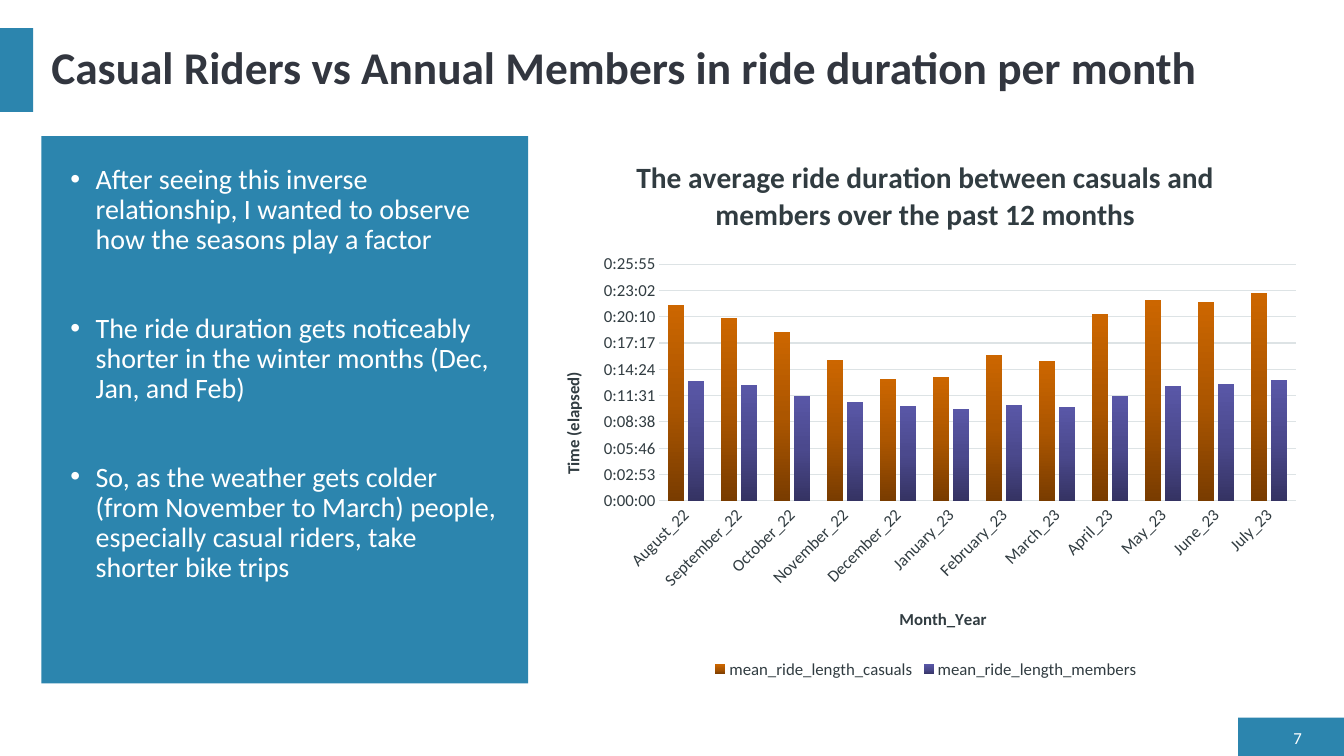
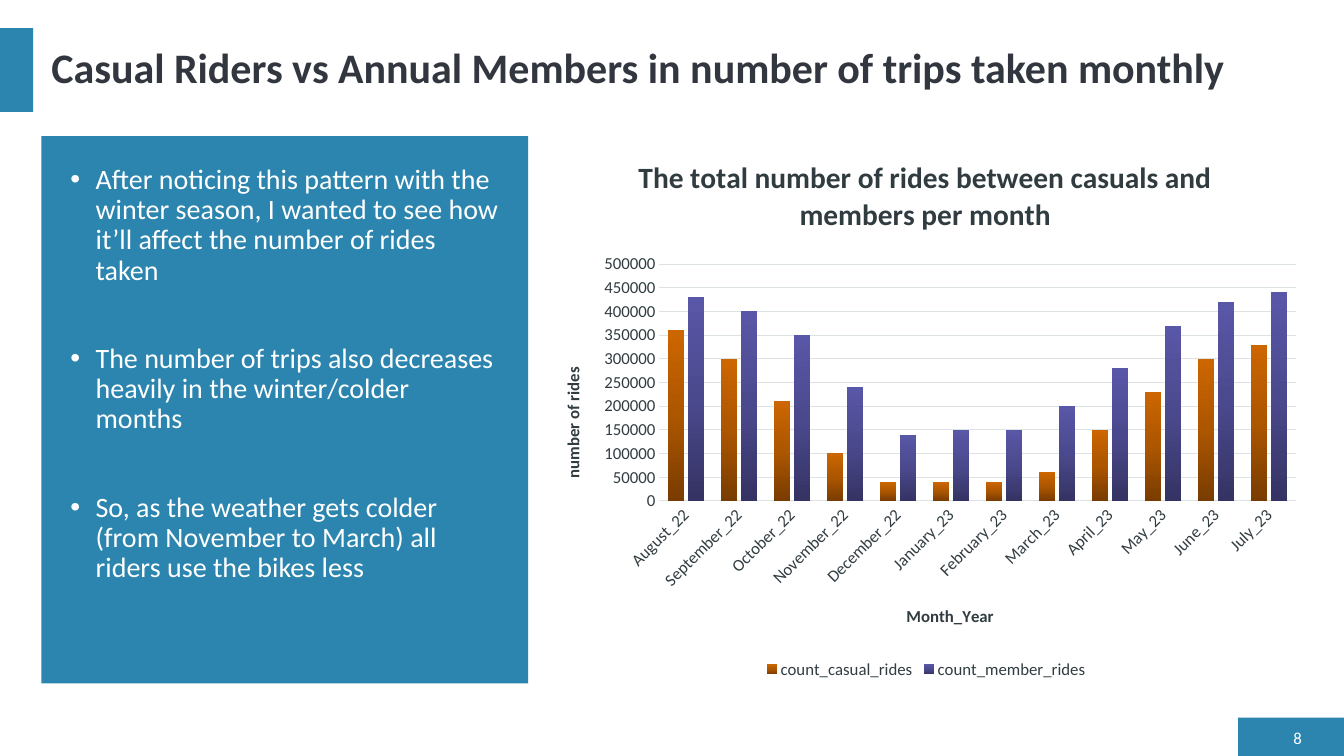
from lxml import etree
from pptx import Presentation
from pptx.chart.data import CategoryChartData
from pptx.dml.color import RGBColor
from pptx.enum.chart import XL_CHART_TYPE, XL_LEGEND_POSITION, XL_TICK_MARK
from pptx.enum.shapes import MSO_SHAPE
from pptx.enum.text import MSO_ANCHOR, PP_ALIGN
from pptx.oxml import parse_xml
from pptx.oxml.ns import nsdecls, qn
from pptx.util import Inches, Pt

COLUMNS = XL_CHART_TYPE.COLUMN_CLUSTERED
BOTTOM = XL_LEGEND_POSITION.BOTTOM
NO_TICKS = XL_TICK_MARK.NONE
RECTANGLE = MSO_SHAPE.RECTANGLE
MIDDLE, TOP = MSO_ANCHOR.MIDDLE, MSO_ANCHOR.TOP
LEFT, RIGHT = PP_ALIGN.LEFT, PP_ALIGN.RIGHT

FONT = "Calibri"
ACCENT, INK, CHART_INK, GRID, WHITE = "2C85AE", "32363F", "313C41", "DDE3E5", "FFFFFF"
GRADIENTS = [("793C00", "AC5600", "CC6600"), ("353363", "4B498D", "5957A7")]

MONTHS = ["August_22", "September_22", "October_22", "November_22", "December_22", "January_23",
          "February_23", "March_23", "April_23", "May_23", "June_23", "July_23"]

PAGES = [
    {
        "number": 7,
        "title": "Casual Riders vs Annual Members in ride duration per month",
        "title_size": 32.4,
        "points": [
            "After seeing this inverse relationship, I wanted to observe how the seasons play a factor",
            "The ride duration gets noticeably shorter in the winter months (Dec, Jan, and Feb)",
            "So, as the weather gets colder (from November to March) people, especially casual riders, "
            "take shorter bike trips",
        ],
        "chart_title": "The average ride duration between casuals and members over the past 12 months",
        "value_title": "Time (elapsed)",
        "format": "[h]:mm:ss;@",
        "scale": (0.018, 0.002),
        "title_spots": {"chart": (0.9, 0.15), "value": (0.18, 2.31), "month": (3.53, 4.65)},
        "series": {
            "mean_ride_length_casuals": [0.0149, 0.0139, 0.0128, 0.0107, 0.0093, 0.0094,
                                         0.0111, 0.0106, 0.0142, 0.0153, 0.0151, 0.0158],
            "mean_ride_length_members": [0.0091, 0.0088, 0.008, 0.0075, 0.0072, 0.007,
                                         0.0073, 0.0071, 0.008, 0.0087, 0.0089, 0.0092],
        },
    },
    {
        "number": 8,
        "title": "Casual Riders vs Annual Members in number of trips taken monthly",
        "title_size": 30,
        "points": [
            "After noticing this pattern with the winter season, I wanted to see how it’ll affect "
            "the number of rides taken",
            "The number of trips also decreases heavily in the winter/colder months ",
            "So, as the weather gets colder (from November to March) all riders use the bikes less",
        ],
        "chart_title": "The total number of rides between casuals and members per month",
        "value_title": "number of rides",
        "format": "General",
        "scale": (500000, 50000),
        "title_spots": {"chart": (0.92, 0.15), "value": (0.18, 2.26), "month": (3.6, 4.62)},
        "series": {
            "count_casual_rides": [360000, 300000, 210000, 100000, 40000, 40000,
                                   40000, 60000, 150000, 230000, 300000, 330000],
            "count_member_rides": [430000, 400000, 350000, 240000, 140000, 150000,
                                   150000, 200000, 280000, 370000, 420000, 440000],
        },
    },
]

WIDTH, HEIGHT = 13.33, 7.5
MARGIN, TITLE_TOP, TITLE_HEIGHT = 0.41, 0.28, 0.83
BODY_TOP, BODY_HEIGHT = 1.35, 5.43
PANEL_WIDTH, CHART_LEFT, CHART_WIDTH = 4.83, 5.36, 7.65
PAD_X, PAD_Y = 0.19, 0.24
TAB_WIDTH, TAB_HEIGHT = 1.05, 0.38
PLOT_AREA = (1.18, 1.27, 6.31, 2.35)

BANDS = [
    (WIDTH - TAB_WIDTH, HEIGHT - TAB_HEIGHT, TAB_WIDTH, TAB_HEIGHT),
    (0, TITLE_TOP, 0.33, TITLE_HEIGHT),
    (MARGIN, BODY_TOP, PANEL_WIDTH, BODY_HEIGHT),
]


def rgb(value):
    return RGBColor.from_string(value)


def inches(box):
    return [Inches(length) for length in box]


def style(font, size, color, bold=False):
    font.name, font.size, font.bold = FONT, Pt(size), bold
    font.color.rgb = rgb(color)


def add_band(slide, box):
    band = slide.shapes.add_shape(RECTANGLE, *inches(box))
    band.shadow.inherit = False
    band.fill.solid()
    band.fill.fore_color.rgb = rgb(ACCENT)
    band.line.fill.background()


def set_title(slide, text, size):
    title = slide.shapes.title
    title.left, title.top, title.width, title.height = inches(
        (MARGIN, TITLE_TOP, CHART_LEFT + CHART_WIDTH - MARGIN, TITLE_HEIGHT))
    frame = title.text_frame
    frame.text = text
    frame.vertical_anchor = MIDDLE
    heading = frame.paragraphs[0]
    heading.alignment, heading.line_spacing = LEFT, 0.9
    style(heading.font, size, INK, True)


def add_page_number(slide, number):
    frame = slide.shapes.add_textbox(*inches((12.6, 7.2, MARGIN, 0.23))).text_frame
    frame.word_wrap = True
    frame.vertical_anchor = MIDDLE
    frame.text = str(number)
    frame.paragraphs[0].alignment = RIGHT
    style(frame.paragraphs[0].font, 12, WHITE)


def add_points(slide, points):
    box = (MARGIN + PAD_X, BODY_TOP + PAD_Y, PANEL_WIDTH - 2 * PAD_X, BODY_HEIGHT - 2 * PAD_Y)
    frame = slide.shapes.add_textbox(*inches(box)).text_frame
    frame.word_wrap = True
    frame.vertical_anchor = TOP
    frame.text = "\n".join(points)
    for index, point in enumerate(frame.paragraphs):
        point.line_spacing = 0.9
        point.space_before = Pt(41.5 if index else 0)
        style(point.font, 20, WHITE)
        properties = point._p.get_or_add_pPr()
        properties.set("marL", str(Inches(0.25)))
        properties.set("indent", str(-Inches(0.25)))
        for tag in ('buFont {} typeface="Arial"', 'buChar {} char="•"'):
            bullet = parse_xml(f'<a:{tag.format(nsdecls("a"))}/>')
            properties.insert_element_before(bullet, "a:tabLst", "a:defRPr", "a:extLst")


def place(parent, lengths, inner=False):
    for old in parent.findall(qn("c:layout")):
        parent.remove(old)
    layout = etree.Element(qn("c:layout"))
    manual = etree.SubElement(layout, qn("c:manualLayout"))
    shares = [length / total for length, total in zip(lengths, (CHART_WIDTH, BODY_HEIGHT) * 2)]
    settings = [("layoutTarget", "inner")] if inner else []
    settings += [("xMode", "edge"), ("yMode", "edge"), *zip("xywh", shares)]
    for tag, value in settings:
        etree.SubElement(manual, qn(f"c:{tag}")).set("val", str(value))
    text = parent.find(qn("c:tx"))
    parent.insert(0 if text is None else parent.index(text) + 1, layout)


def set_chart_title(owner, text, size, spot):
    owner.has_title = True
    title = owner.chart_title if hasattr(owner, "chart_title") else owner.axis_title
    title.text_frame.text = text
    style(title.text_frame.paragraphs[0].font, size, CHART_INK, True)
    place(title._element, spot)


def paint_gradient(series, colors):
    stops = "".join(f'<a:gs pos="{pos}"><a:srgbClr val="{color}"/></a:gs>'
                    for pos, color in zip((0, 50000, 100000), colors))
    series.format.line.fill.background()
    properties = series._element.get_or_add_spPr()
    properties.insert(0, parse_xml(
        f'<a:gradFill {nsdecls("a")} rotWithShape="1"><a:gsLst>{stops}</a:gsLst>'
        '<a:lin ang="16200000" scaled="0"/></a:gradFill>'))


def add_ride_chart(slide, page):
    data = CategoryChartData(number_format=page["format"])
    data.categories = MONTHS
    for name, values in page["series"].items():
        data.add_series(name, values)
    box = (CHART_LEFT, BODY_TOP, CHART_WIDTH, BODY_HEIGHT)
    chart = slide.shapes.add_chart(COLUMNS, *inches(box), data).chart
    style(chart.font, 10, INK)
    months, amounts = chart.category_axis, chart.value_axis
    spots = page["title_spots"]
    set_chart_title(chart, page["chart_title"], 21, spots["chart"])
    set_chart_title(months, "Month_Year", 12, spots["month"])
    set_chart_title(amounts, page["value_title"], 12, spots["value"])
    chart.chart_title.include_in_layout = False

    for axis in (months, amounts):
        axis.major_tick_mark = axis.minor_tick_mark = NO_TICKS
        style(axis.tick_labels.font, 12, CHART_INK)
    months._element.find(qn("c:txPr")).find(qn("a:bodyPr")).set("rot", "-2700000")
    amounts.minimum_scale = 0
    amounts.maximum_scale, amounts.major_unit = page["scale"]
    amounts.tick_labels.number_format = page["format"]
    amounts.tick_labels.number_format_is_linked = False
    amounts.format.line.fill.background()
    for line in (months.format.line, amounts.major_gridlines.format.line):
        line.color.rgb = rgb(GRID)
        line.width = Pt(0.75)

    chart.has_legend = True
    chart.legend.position = BOTTOM
    chart.legend.include_in_layout = False
    style(chart.legend.font, 12, CHART_INK)

    plot = chart.plots[0]
    plot.gap_width, plot.overlap = 100, -24
    plot.vary_by_categories = False
    for series, colors in zip(plot.series, GRADIENTS):
        paint_gradient(series, colors)
    place(chart._chartSpace.chart.plotArea, PLOT_AREA, inner=True)


deck = Presentation()
deck.slide_width, deck.slide_height = Inches(WIDTH), Inches(HEIGHT)
title_only = deck.slide_layouts[5]
for page in PAGES:
    slide = deck.slides.add_slide(title_only)
    for band_box in BANDS:
        add_band(slide, band_box)
    set_title(slide, page["title"], page["title_size"])
    add_page_number(slide, page["number"])
    add_points(slide, page["points"])
    add_ride_chart(slide, page)
deck.save("out.pptx")
